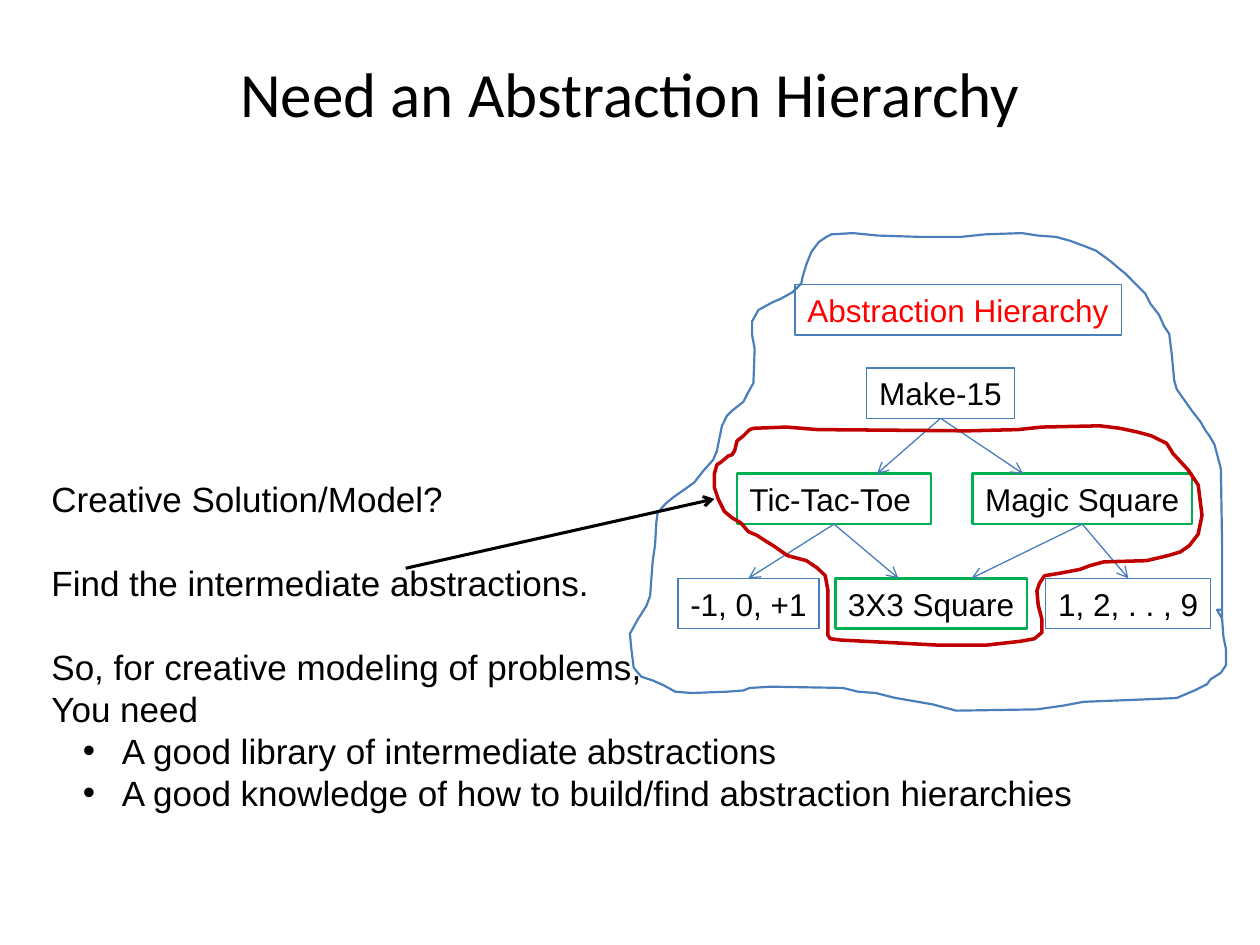
from dataclasses import dataclass

from lxml import etree
from pptx import Presentation
from pptx.dml.color import RGBColor
from pptx.enum.shapes import MSO_CONNECTOR
from pptx.enum.text import MSO_ANCHOR, PP_ALIGN
from pptx.oxml.ns import qn
from pptx.util import Emu, Pt

EMU_PER_PX = 9144
STRAIGHT = MSO_CONNECTOR.STRAIGHT
MIDDLE = MSO_ANCHOR.MIDDLE
CENTER = PP_ALIGN.CENTER
TOP_SIDE, BOTTOM_SIDE = 0, 2
BLACK = RGBColor(0x00, 0x00, 0x00)
RED = RGBColor(0xFF, 0x00, 0x00)
DARK_RED = RGBColor(0xC0, 0x00, 0x00)
BLUE = RGBColor(0x4A, 0x7E, 0xBB)
GREEN = RGBColor(0x00, 0xB0, 0x50)
BOX_HEIGHT = 40


@dataclass(frozen=True)
class Node:
    text: str
    left: int
    top: int
    width: int
    line_color: RGBColor = BLUE
    line_width: float = 0.75
    text_color: RGBColor = BLACK


@dataclass(frozen=True)
class Edge:
    parent: str
    child: str
    end_x: int | None = None


@dataclass(frozen=True)
class Line:
    text: str
    gap: bool = False
    bullet: bool = False


NODES = [
    Node("Abstraction Hierarchy", 631, 226, 259, text_color=RED),
    Node("Make-15", 688, 292, 117),
    Node("Tic-Tac-Toe", 585, 376, 154, GREEN, 1.5),
    Node("Magic Square", 772, 376, 174, GREEN, 1.5),
    Node("3X3 Square", 663, 459, 152, GREEN, 1.5),
    Node("1, 2, . . , 9", 830, 459, 131),
    Node("-1, 0, +1", 538, 459, 112),
]
EDGES = [
    Edge("Make-15", "Tic-Tac-Toe", 696),
    Edge("Make-15", "Magic Square", 812),
    Edge("Tic-Tac-Toe", "-1, 0, +1"),
    Edge("Tic-Tac-Toe", "3X3 Square", 713),
    Edge("Magic Square", "3X3 Square", 771),
    Edge("Magic Square", "1, 2, . . , 9"),
]
LINES = [
    Line("Creative Solution/Model?"),
    Line("Find the intermediate abstractions.", gap=True),
    Line("So, for creative modeling of problems,", gap=True),
    Line("You need"),
    Line("A good library of intermediate abstractions", bullet=True),
    Line("A good knowledge of how to build/find abstraction hierarchies", bullet=True),
]
HIERARCHY_OUTLINE = [
    (970, 492), (970, 432), (969, 372), (964, 353), (960, 346), (957, 342), (953, 335),
    (946, 326), (934, 309), (932, 302), (930, 281), (928, 265), (924, 259), (920, 250),
    (913, 241), (909, 233), (900, 224), (893, 217), (888, 213), (881, 207), (870, 199),
    (860, 195), (849, 191), (838, 188), (824, 187), (811, 185), (782, 186), (763, 188),
    (730, 188), (697, 187), (677, 185), (660, 186), (656, 188), (650, 192), (644, 200),
    (640, 210), (637, 220), (636, 225), (629, 232), (620, 237), (613, 240), (602, 246),
    (597, 255), (597, 266), (599, 277), (598, 304), (593, 313), (590, 319), (581, 326),
    (577, 330), (573, 338), (571, 348), (569, 358), (566, 365), (558, 374), (551, 383),
    (534, 395), (528, 400), (522, 407), (521, 414), (520, 432), (518, 446), (516, 473),
    (513, 481), (506, 492), (500, 503), (501, 514), (503, 530), (509, 537), (518, 540),
    (527, 544), (536, 549), (549, 550), (577, 549), (590, 548), (595, 546), (612, 545),
    (669, 546), (681, 549), (695, 550), (711, 554), (740, 559), (759, 564), (823, 563),
    (844, 560), (860, 557), (910, 555), (934, 554), (948, 548), (958, 543), (961, 539),
    (969, 534), (973, 528), (973, 515), (971, 505), (970, 491), (966, 484), (970, 484),
]
INTERMEDIATE_OUTLINE = [
    (581, 361), (578, 362), (572, 367), (569, 369), (567, 376), (567, 387), (570, 396),
    (575, 406), (581, 411), (588, 415), (594, 422), (601, 425), (607, 429), (615, 434),
    (625, 441), (640, 445), (649, 451), (655, 457), (657, 468), (657, 504), (659, 507),
    (667, 508), (706, 510), (744, 512), (783, 512), (810, 509), (821, 507), (827, 502),
    (827, 492), (824, 480), (823, 469), (825, 463), (829, 457), (841, 455), (857, 452),
    (865, 449), (876, 446), (910, 445), (927, 441), (937, 438), (944, 433), (951, 424),
    (954, 409), (951, 385), (943, 373), (931, 360), (926, 352), (914, 346), (903, 343),
    (889, 340), (873, 338), (827, 339), (808, 341), (768, 342), (649, 341), (624, 339),
    (598, 340), (595, 341), (590, 346), (585, 350), (583, 358),
]


def px(value: float) -> Emu:
    """Turn a length in px into EMU."""
    return Emu(round(value * EMU_PER_PX))


def format_paragraph(para, text: str, size: int, color: RGBColor) -> None:
    """Write one Arial paragraph with even line pitch."""
    para.text = text
    para.line_spacing = Pt(size * 1.2)
    para.font.name = "Arial"
    para.font.size = Pt(size)
    para.font.color.rgb = color


def add_box(slide, left: int, top: int, width: int, height: int):
    """Add a wrapping text box that may fill up to its right edge."""
    box = slide.shapes.add_textbox(px(left), px(top), px(width), px(height))
    box.text_frame.word_wrap = True
    box.text_frame.margin_right = 0
    return box


def add_node(slide, node: Node):
    """Draw one outlined box of the hierarchy."""
    box = add_box(slide, node.left, node.top, node.width, BOX_HEIGHT)
    box.line.color.rgb = node.line_color
    box.line.width = Pt(node.line_width)
    format_paragraph(box.text_frame.paragraphs[0], node.text, 18, node.text_color)
    return box


def add_arrow(slide, start: tuple, end: tuple, color: RGBColor, width: float):
    """Draw a straight connector with an open arrowhead at its end."""
    arrow = slide.shapes.add_connector(STRAIGHT, *map(px, start + end))
    arrow.line.color.rgb = color
    arrow.line.width = Pt(width)
    line = arrow.line._get_or_add_ln()
    etree.SubElement(line, qn("a:tailEnd"), type="arrow")
    etree.SubElement(arrow._element.spPr, qn("a:effectLst"))
    return arrow


def add_edge(slide, edge: Edge, nodes: dict, boxes: dict) -> None:
    """Link a parent box to one of its children."""
    parent, child = nodes[edge.parent], nodes[edge.child]
    start = (parent.left + parent.width // 2, parent.top + BOX_HEIGHT)
    end_x = edge.end_x or child.left + child.width // 2
    arrow = add_arrow(slide, start, (end_x, child.top), BLUE, 0.75)
    arrow.begin_connect(boxes[edge.parent], BOTTOM_SIDE)
    if edge.end_x is None:
        arrow.end_connect(boxes[edge.child], TOP_SIDE)


def add_outline(slide, points: list, color: RGBColor, width: float, close: bool) -> None:
    """Draw an unfilled hand-drawn outline."""
    builder = slide.shapes.build_freeform(*points[0], scale=EMU_PER_PX)
    builder.add_line_segments(points[1:], close=close)
    outline = builder.convert_to_shape()
    outline.shadow.inherit = False
    outline.fill.background()
    outline.line.color.rgb = color
    outline.line.width = Pt(width)


def add_lines(slide, lines: list[Line]) -> None:
    """Write the running text with its bullets."""
    frame = add_box(slide, 31, 374, 844, 277).text_frame
    for index, line in enumerate(lines):
        para = frame.add_paragraph() if index else frame.paragraphs[0]
        if line.gap:
            para.space_before = Pt(24)
        if line.bullet:
            properties = para._p.get_or_add_pPr()
            properties.set("marL", str(px(56)))
            properties.set("indent", str(px(-31)))
            etree.SubElement(properties, qn("a:buFont"), typeface="Arial")
            etree.SubElement(properties, qn("a:buChar"), char="•")
        format_paragraph(para, line.text, 20, BLACK)


def add_title(slide, text: str) -> None:
    """Place and format the title."""
    title = slide.shapes.title
    title.left, title.top, title.width, title.height = map(px, (50, 30, 900, 87))
    title.text_frame.text = text
    title.text_frame.vertical_anchor = MIDDLE
    para = title.text_frame.paragraphs[0]
    para.alignment = CENTER
    para.font.name = "Calibri"
    para.font.size = Pt(36)
    para.font.color.rgb = BLACK


def main() -> None:
    """Build the slide and save the deck."""
    deck = Presentation()
    deck.slide_width, deck.slide_height = px(1000), px(750)
    slide = deck.slides.add_slide(deck.slide_layouts[5])
    add_title(slide, "Need an Abstraction Hierarchy")
    nodes = {node.text: node for node in NODES}
    boxes = {node.text: add_node(slide, node) for node in NODES}
    for edge in EDGES:
        add_edge(slide, edge, nodes, boxes)
    add_outline(slide, HIERARCHY_OUTLINE, BLUE, 1.25, close=False)
    add_outline(slide, INTERMEDIATE_OUTLINE, DARK_RED, 2, close=True)
    add_lines(slide, LINES)
    add_arrow(slide, (322, 451), (567, 396), BLACK, 1.75)
    deck.save("out.pptx")


if __name__ == "__main__":
    main()
